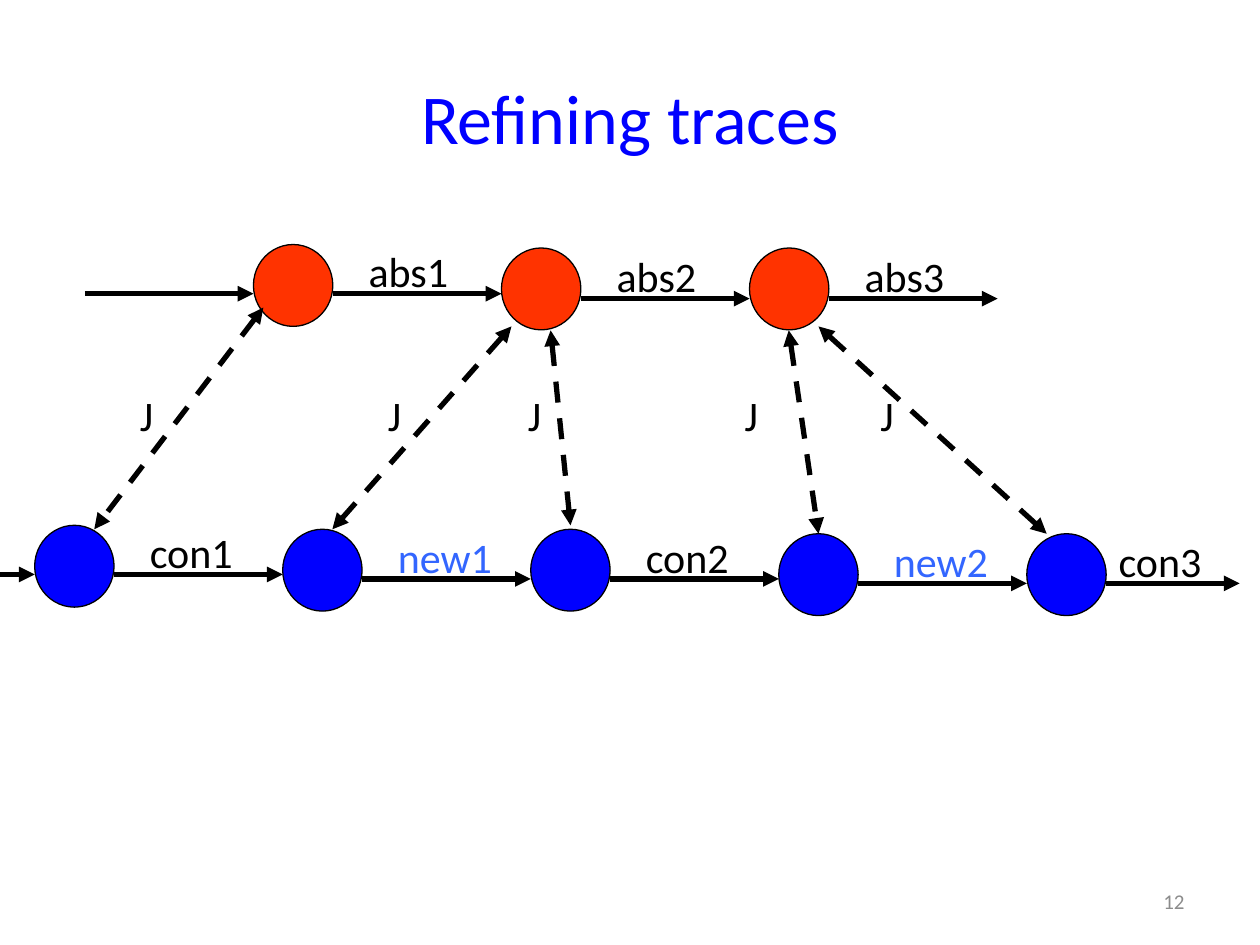
from dataclasses import dataclass

from pptx import Presentation
from pptx.dml.color import RGBColor
from pptx.enum.dml import MSO_LINE_DASH_STYLE as Dash
from pptx.enum.shapes import MSO_CONNECTOR as Connector, MSO_SHAPE as Shape
from pptx.enum.text import MSO_ANCHOR as Anchor, MSO_AUTO_SIZE as AutoSize, PP_ALIGN as Align
from pptx.oxml.ns import qn
from pptx.util import Cm, Pt
from lxml.etree import SubElement


@dataclass(frozen=True)
class Theme:
    font: str = "Calibri"
    ink: str = "000000"
    title: str = "0000FF"
    abstract: str = "FF3300"
    concrete: str = "0000FF"
    new_event: str = "3366FF"
    muted: str = "8C8C8C"
    title_size: int = 40
    label_size: int = 24
    number_size: int = 12
    outline: float = 0.75
    arrow: float = 3


@dataclass(frozen=True)
class Step:
    """A state and the event leaving it; lengths in centimetres."""
    state_top: float
    event_y: float
    event: str = ""
    label_width: float = 2.21
    color: str = Theme.ink
    length: float = 3.4
    label_gap: float = 0.47


@dataclass(frozen=True)
class Trace:
    left: float
    entry_y: float
    fill: str
    steps: tuple[Step, ...]


@dataclass(frozen=True)
class Link:
    """The invariant J joining an abstract and a concrete state."""
    start: tuple[float, float]
    end: tuple[float, float]
    label_left: float


THEME = Theme()
PITCH, STATE_WIDTH, STATE_HEIGHT = 5, 1.6, 1.65
EVENT_LENGTH, LABEL_RISE, LABEL_HEIGHT = 3.4, 1.09, 1.27
INVARIANT_TOP, INVARIANT_WIDTH = 7.72, 0.94

TRACES = (
    Trace(5.11, 5.92, THEME.abstract, (
        Step(4.93, 5.92, "abs1", 2.13),
        Step(5.0, 6.02, "abs2", 2.13),
        Step(5.0, 6.02, "abs3", 2.13),
    )),
    Trace(0.7, 11.58, THEME.concrete, (
        Step(10.59, 11.58, "con1"),
        Step(10.67, 11.67, "new1", 2.44, THEME.new_event),
        Step(10.67, 11.67, "con2"),
        Step(10.76, 11.76, "new2", 2.44, THEME.new_event),
        Step(10.76, 11.76, "con3", length=2.69, label_gap=0),
    )),
)

LINKS = (
    Link((5.31, 6.2), (1.9, 10.67), 2.57),
    Link((10.31, 6.58), (6.7, 10.67), 7.57),
    Link((11.1, 6.66), (11.5, 10.59), 10.39),
    Link((15.9, 6.66), (16.5, 10.76), 14.76),
    Link((16.5, 6.58), (21.1, 10.76), 17.5),
)


def write(frame, text: str, *, size: float, color: str = THEME.ink,
          align=Align.LEFT, anchor=Anchor.TOP, wrap: bool = True) -> None:
    frame.word_wrap = wrap
    frame.vertical_anchor = anchor
    frame.auto_size = AutoSize.NONE if wrap else AutoSize.SHAPE_TO_FIT_TEXT
    paragraph = frame.paragraphs[0]
    paragraph.alignment = align
    run = paragraph.add_run()
    run.text = text
    run.font.name = THEME.font
    run.font.size = Pt(size)
    run.font.color.rgb = RGBColor.from_string(color)


def add_label(slide, text: str, left: float, top: float, width: float,
              color: str = THEME.ink, wrap: bool = False) -> None:
    label = slide.shapes.add_textbox(Cm(left), Cm(top), Cm(width), Cm(LABEL_HEIGHT))
    write(label.text_frame, text, size=THEME.label_size, color=color, wrap=wrap)


def add_arrow(slide, start: tuple[float, float], end: tuple[float, float],
              two_way: bool = False) -> None:
    """Draw a solid event arrow, or a dashed one with a head at both ends."""
    arrow = slide.shapes.add_connector(
        Connector.STRAIGHT, *(Cm(value) for value in (*start, *end)))
    arrow.line.width = Pt(THEME.arrow)
    arrow.line.color.rgb = RGBColor.from_string(THEME.ink)
    if two_way:
        arrow.line.dash_style = Dash.DASH
    outline = arrow.line._get_or_add_ln()
    for tag in ("a:headEnd", "a:tailEnd") if two_way else ("a:tailEnd",):
        SubElement(outline, qn(tag), type="triangle")
    SubElement(arrow._element.spPr, qn("a:effectLst"))


def add_state(slide, left: float, top: float, fill: str) -> None:
    state = slide.shapes.add_shape(
        Shape.OVAL, Cm(left), Cm(top), Cm(STATE_WIDTH), Cm(STATE_HEIGHT))
    state.shadow.inherit = False
    state.fill.solid()
    state.fill.fore_color.rgb = RGBColor.from_string(fill)
    state.line.color.rgb = RGBColor.from_string(THEME.ink)
    state.line.width = Pt(THEME.outline)


def add_trace(slide, trace: Trace) -> None:
    add_arrow(slide, (trace.left - EVENT_LENGTH, trace.entry_y),
              (trace.left, trace.entry_y))
    for column, step in enumerate(trace.steps):
        left = trace.left + column * PITCH
        right = left + STATE_WIDTH
        add_state(slide, left, step.state_top, trace.fill)
        add_arrow(slide, (right, step.event_y), (right + step.length, step.event_y))
        add_label(slide, step.event, right + step.label_gap,
                  step.event_y - LABEL_RISE, step.label_width, step.color)


def add_link(slide, link: Link) -> None:
    add_arrow(slide, link.start, link.end, two_way=True)
    add_label(slide, "J", link.label_left, INVARIANT_TOP, INVARIANT_WIDTH, wrap=True)


def main() -> None:
    deck = Presentation()
    deck.slide_width, deck.slide_height = Cm(25.4), Cm(19.05)
    slide = deck.slides.add_slide(deck.slide_layouts[5])

    title = slide.shapes.title
    title.left, title.top, title.width, title.height = Cm(1.27), Cm(0.76), Cm(22.86), Cm(3.18)
    write(title.text_frame, "Refining traces", size=THEME.title_size,
          color=THEME.title, align=Align.CENTER, anchor=Anchor.MIDDLE)

    number = slide.shapes.add_textbox(Cm(18.2), Cm(17.66), Cm(5.93), Cm(1.01))
    write(number.text_frame, "12", size=THEME.number_size, color=THEME.muted,
          align=Align.RIGHT, anchor=Anchor.MIDDLE)

    for trace in TRACES:
        add_trace(slide, trace)
    for link in LINKS:
        add_link(slide, link)
    deck.save("out.pptx")


if __name__ == "__main__":
    main()
